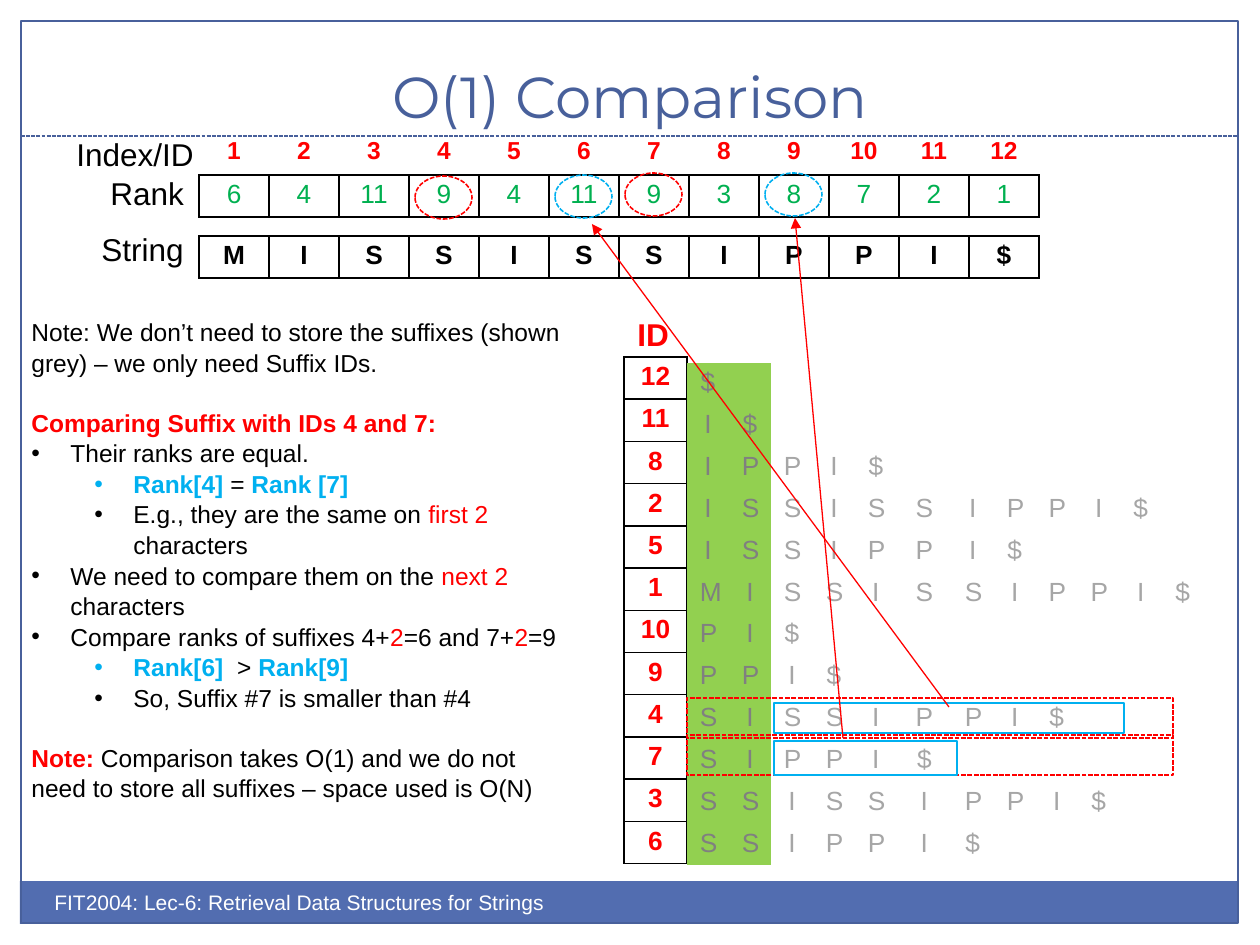
import pptx
import pptx.util
import pptx.dml.color
import pptx.enum.dml
import pptx.enum.shapes
import pptx.enum.text
import pptx.oxml.ns
import lxml.etree

RGB = pptx.dml.color.RGBColor
BLACK = RGB(0x00, 0x00, 0x00)
WHITE = RGB(0xFF, 0xFF, 0xFF)
RED = RGB(0xFF, 0x00, 0x00)
GREEN = RGB(0x00, 0xB0, 0x50)
LIME = RGB(0x92, 0xD0, 0x50)
SKY = RGB(0x00, 0xB0, 0xF0)
NAVY = RGB(0x48, 0x60, 0x9B)
BLUE = RGB(0x52, 0x6D, 0xB0)
DARK = RGB(0x80, 0x80, 0x80)
PALE = RGB(0xA6, 0xA6, 0xA6)

SCALE = 914400 / 126
PLAIN = "{2D5ABB26-0587-4C30-8999-92F81FD0307C}"
KIND = pptx.enum.shapes.MSO_SHAPE
ALIGN = pptx.enum.text.PP_ALIGN
DASH = pptx.enum.dml.MSO_LINE.SQUARE_DOT
PT = pptx.util.Pt

WORD = "MISSISSIPPI$"
RANKS = [6, 4, 11, 9, 4, 11, 9, 3, 8, 7, 2, 1]
ORDER = [12, 11, 8, 2, 5, 1, 10, 9, 4, 7, 3, 6]
NOTES = [
    (None, 0, [("Note: We don’t need to store the suffixes (shown grey) – we only need Suffix IDs.", BLACK, False)]),
    (None, 16.8, [("Comparing Suffix with IDs 4 and 7:", RED, True)]),
    (0, 0, [("Their ranks are equal.", BLACK, False)]),
    (1, 0, [("Rank[4] ", SKY, True), ("=", BLACK, False), (" Rank [7]", SKY, True)]),
    (1, 0, [("E.g., they are the same on ", BLACK, False), ("first 2 ", RED, False), ("characters", BLACK, False)]),
    (0, 0, [("We need to compare them on the ", BLACK, False), ("next 2", RED, False), (" characters", BLACK, False)]),
    (0, 0, [("Compare ranks of suffixes 4+", BLACK, False), ("2", RED, False), ("=6 and 7+", BLACK, False),
            ("2", RED, False), ("=9", BLACK, False)]),
    (1, 0, [("Rank[6]", SKY, True), ("  > ", BLACK, False), ("Rank[9]", SKY, True)]),
    (1, 0, [("So, Suffix #7 is smaller than #4", BLACK, False)]),
    (None, 16.8, [("Note:", RED, True),
                  (" Comparison takes O(1) and we do not need to store all suffixes – space used is O(N)", BLACK, False)]),
]


def px(num):
    """Turn px into EMU."""
    return round(num * SCALE)


def sub(node, tag, **attrs):
    """Append a drawing element to a node."""
    return lxml.etree.SubElement(node, pptx.oxml.ns.qn(tag), attrs)


def put(para, text, size, color, bold=False, font="Arial"):
    """Add one run to a paragraph."""
    run = para.add_run()
    run.text = text
    run.font.size = PT(size)
    run.font.name = font
    run.font.bold = bold
    run.font.color.rgb = color


def box(slide, x, y, w, h, wrap=True):
    """Add an empty text box and return its frame."""
    frame = slide.shapes.add_textbox(px(x), px(y), px(w), px(h)).text_frame
    frame.word_wrap = wrap
    return frame


def label(slide, x, y, w, text, color=BLACK, bold=False):
    """Add an unwrapped heading beside a table."""
    put(box(slide, x, y, w, 50, False).paragraphs[0], text, 18, color, bold)


def shape(slide, kind, x, y, w, h, line=None, fill=None, width=0.9, dash=None):
    """Add a preset shape with an optional line and fill."""
    item = slide.shapes.add_shape(kind, px(x), px(y), px(w), px(h))
    item.shadow.inherit = False
    if fill is None:
        item.fill.background()
    else:
        item.fill.solid()
        item.fill.fore_color.rgb = fill
    if line is None:
        item.line.fill.background()
    else:
        item.line.color.rgb = line
        item.line.width = PT(width)
        item.line.dash_style = dash


def link(slide, x, y, right, low, color, dash=None, arrow=False):
    """Draw a thin straight line between two points."""
    item = slide.shapes.add_connector(
        pptx.enum.shapes.MSO_CONNECTOR.STRAIGHT, px(x), px(y), px(right), px(low))
    item.line.color.rgb = color
    item.line.width = PT(0.75)
    item.line.dash_style = dash
    if arrow:
        sub(item.line._get_or_add_ln(), "a:tailEnd", type="triangle")
    sub(item._element.spPr, "a:effectLst")


def edge(cell):
    """Give a cell thin black borders on all sides."""
    props = cell._tc.get_or_add_tcPr()
    for spot, side in enumerate("LRTB"):
        line = sub(props, "a:ln" + side, w="12700")
        sub(sub(line, "a:solidFill"), "a:srgbClr", val=str(BLACK))
        props.insert(spot, line)


def grid(slide, x, y, high, cols, rows, size, color, bold=False, lined=True, pad=13):
    """Add a table of centred text; color is picked by column."""
    item = slide.shapes.add_table(len(rows), len(cols), px(x), px(y), px(sum(cols)), px(high))
    table = item.table
    table.first_row = table.horz_banding = False
    table._tbl.tblPr.find(pptx.oxml.ns.qn("a:tableStyleId")).text = PLAIN
    for col, wide in zip(table.columns, cols):
        col.width = px(wide)
    for row, texts in zip(table.rows, rows):
        row.height = px(high / len(rows))
        for place, cell in enumerate(row.cells):
            cell.margin_left = cell.margin_right = px(pad)
            cell.margin_top = cell.margin_bottom = px(5)
            cell.fill.background()
            para = cell.text_frame.paragraphs[0]
            para.alignment = ALIGN.CENTER
            if place < len(texts):
                put(para, str(texts[place]), size, color(place), bold)
            else:
                sub(para._p, "a:endParaRPr", sz=str(size * 100))
            if lined:
                edge(cell)
    return table


def page(slide, x, y, w, h):
    """Draw the frame, title and footer."""
    shape(slide, KIND.RECTANGLE, x - 1, y + 860, w, 43, fill=BLUE)
    shape(slide, KIND.RECTANGLE, x, y, w, h, NAVY, width=0.75)
    link(slide, x, y + 115, x + w, y + 115, NAVY, DASH)
    head = box(slide, x + 21, y + 10, 1176, 105)
    head.vertical_anchor = pptx.enum.text.MSO_ANCHOR.BOTTOM
    head.paragraphs[0].alignment = ALIGN.CENTER
    put(head.paragraphs[0], "O(1) Comparison", 33, NAVY, font="Montserrat")
    foot = box(slide, x + 21, y + 862, 630, 50)
    put(foot.paragraphs[0], "FIT2004: Lec-6: Retrieval Data Structures for Strings", 12, WHITE)


def strip(slide, x, y, w):
    """Place the index, rank and string rows with their labels."""
    cols = [w / len(WORD)] * len(WORD)
    left = x + 135
    ids = range(1, len(WORD) + 1)
    grid(slide, left, y + 46, 42, cols, [RANKS], 15, lambda col: GREEN)
    grid(slide, left, y + 3, 50, cols, [ids], 14, lambda col: RED, True, False)
    grid(slide, left, y + 107, 42, cols, [WORD], 15, lambda col: BLACK, True)
    label(slide, x, y, 144, "Index/ID")
    label(slide, x + 34, y + 39, 100, "Rank")
    label(slide, x + 25, y + 95, 108, "String")
    for place, drop, color in ((4, 47, RED), (6, 46, SKY), (7, 44, RED), (9, 44, SKY)):
        shape(slide, KIND.OVAL, left + (place - 1) * cols[0] + 6, y + drop, 57, 43, color, dash=DASH)


def notes(slide, x, y, w, h):
    """Write the explanation with its two bullet levels."""
    frame = box(slide, x, y, w, h)
    for spot, (level, gap, runs) in enumerate(NOTES):
        para = frame.add_paragraph() if spot else frame.paragraphs[0]
        para.line_spacing = 1.04
        para.space_before = PT(gap)
        if level is not None:
            para.level = level
            props = para._p.get_or_add_pPr()
            props.set("marL", str(px(39 + 63 * level)))
            props.set("indent", str(px(-39)))
            sub(props, "a:buFont", typeface="Arial")
            sub(props, "a:buChar", char="•")
        for text, color, bold in runs:
            put(para, text, 14, color, bold)


def suffix(slide, x, y):
    """Place the sorted suffixes, their IDs and the compared pair."""
    label(slide, x + 1, y, 57, "ID", RED, True)
    grid(slide, x, y + 48, 507, [63], [[num] for num in ORDER], 15, lambda col: RED, True, pad=14)
    cols = [42] * 5 + [55] + [42] * 6
    rows = [WORD[num - 1:] for num in ORDER]
    table = grid(slide, x + 63, y + 54, 503, cols, rows, 15,
                 lambda col: DARK if col < 2 else PALE, lined=False)
    for row in table.rows:
        for cell in list(row.cells)[:2]:
            cell.fill.solid()
            cell.fill.fore_color.rgb = LIME
    for drop, inset, wide, high in ((389, 5, 350, 30), (426, 6, 183, 34)):
        shape(slide, KIND.RECTANGLE, x + 63, y + drop, 486, 40, RED, dash=DASH)
        shape(slide, KIND.RECTANGLE, x + 150, y + drop + inset, wide, high, SKY)


def main():
    """Build and save the slide."""
    deck = pptx.Presentation()
    deck.slide_width, deck.slide_height = px(1260), px(945)
    slide = deck.slides.add_slide(deck.slide_layouts[6])
    page(slide, 21, 21, 1217, 902)
    strip(slide, 64, 129, 840)
    notes(slide, 19, 310, 558, 518)
    suffix(slide, 624, 309)
    link(slide, 949, 707, 592, 224, RED, arrow=True)
    link(slide, 843, 738, 795, 218, RED, arrow=True)
    deck.save("out.pptx")


if __name__ == "__main__":
    main()
